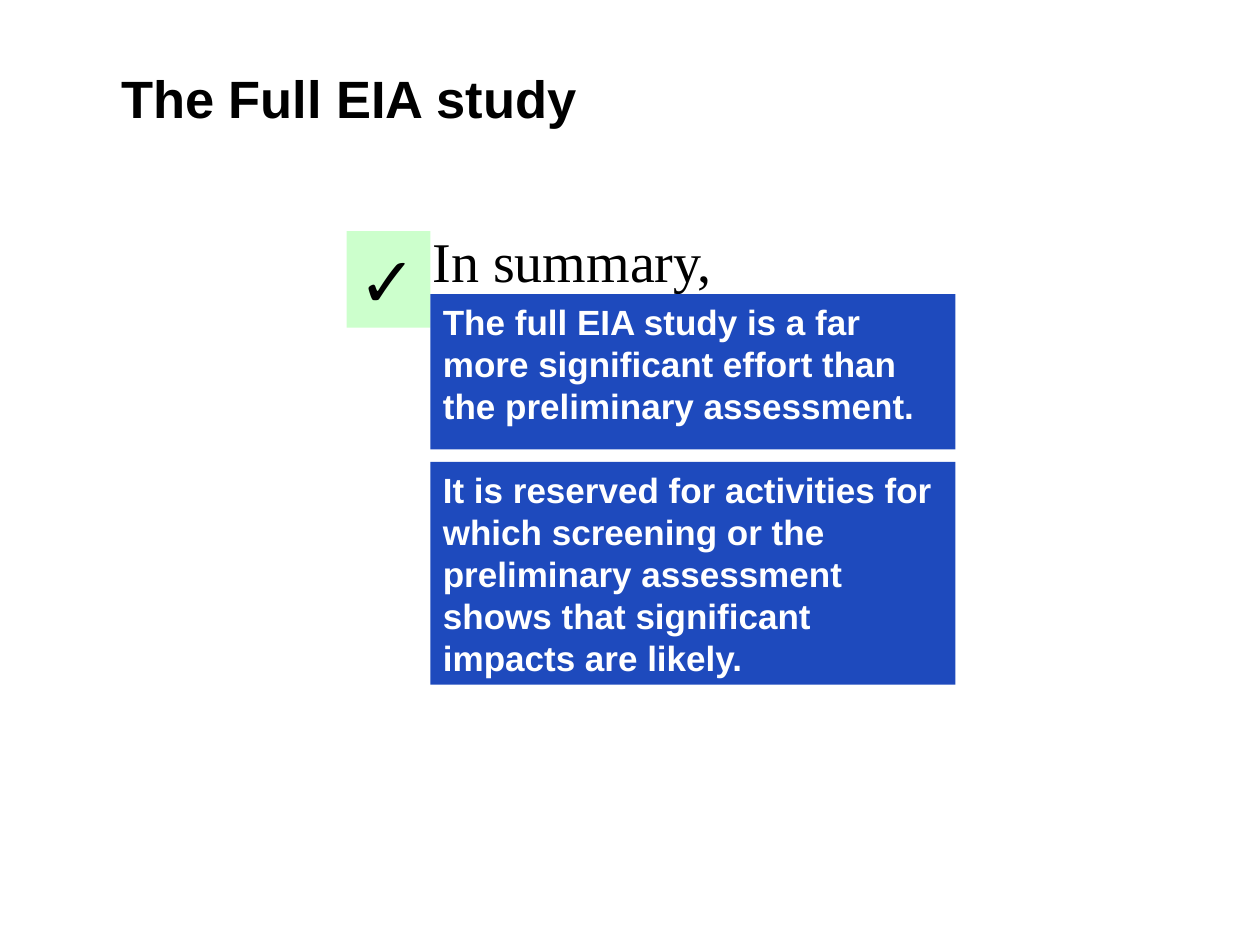
from pptx import Presentation
from pptx.dml.color import RGBColor
from pptx.enum import shapes, text
from pptx.util import Pt

BLACK = RGBColor(0x00, 0x00, 0x00)
WHITE = RGBColor(0xFF, 0xFF, 0xFF)
BLUE = RGBColor(0x1E, 0x4A, 0xBD)
MINT = RGBColor(0xCC, 0xFF, 0xCC)


def write(shape, words, size, font="Arial", color=BLACK, bold=True,
          wrap=True, line=None, before=0):
    frame = shape.text_frame
    frame.word_wrap = wrap
    frame.auto_size = text.MSO_AUTO_SIZE.NONE
    frame.vertical_anchor = text.MSO_ANCHOR.TOP
    paragraph = frame.paragraphs[0]
    paragraph.alignment = text.PP_ALIGN.LEFT
    paragraph.space_before = Pt(before)
    if line:
        paragraph.line_spacing = Pt(line)
    run = paragraph.add_run()
    run.text = words
    run.font.name = font
    run.font.size = Pt(size)
    run.font.bold = bold
    run.font.color.rgb = color


def panel(slide, box, fill):
    shape = slide.shapes.add_shape(shapes.MSO_SHAPE.RECTANGLE, *map(Pt, box))
    shape.shadow.inherit = False
    shape.fill.solid()
    shape.fill.fore_color.rgb = fill
    shape.line.fill.background()
    return shape


def place_title(slide, box):
    title = slide.shapes.title
    title.left, title.top, title.width, title.height = map(Pt, box)
    write(title, "The Full EIA study", 30, wrap=False)


def place_summary(slide, box):
    left, top, width, height = box
    mark_width = 48
    points_left = left + mark_width

    # Lead-in
    lead = slide.shapes.add_textbox(
        Pt(points_left - 6), Pt(top - 6), Pt(width - mark_width + 84), Pt(48))
    write(lead, "In summary,", 32, font="Times New Roman", bold=False, before=4)

    # Check mark
    check = panel(slide, (left, top, mark_width, 55.2), MINT)
    write(check, "✓", 40, font="DejaVu Sans")

    # Conclusions: the first hangs below the lead-in, the second ends the box
    effort_height, reserved_height = 88.8, 127.2
    conclusions = [
        ("The full EIA study is a far more significant effort than the "
         "preliminary assessment.", top + 36, effort_height),
        ("It is reserved for activities for which screening or the preliminary "
         "assessment shows that significant impacts are likely.",
         top + height - reserved_height, reserved_height),
    ]
    for words, y, tall in conclusions:
        conclusion = panel(slide, (points_left, y, width - mark_width, tall), BLUE)
        write(conclusion, words, 20, color=WHITE, line=24)


def main():
    deck = Presentation()
    deck.slide_width, deck.slide_height = Pt(720), Pt(540)
    slide = deck.slides.add_slide(deck.slide_layouts[5])
    place_title(slide, (62, 34, 278, 44))
    place_summary(slide, (198, 132, 348, 259.2))
    deck.save("out.pptx")


if __name__ == "__main__":
    main()
